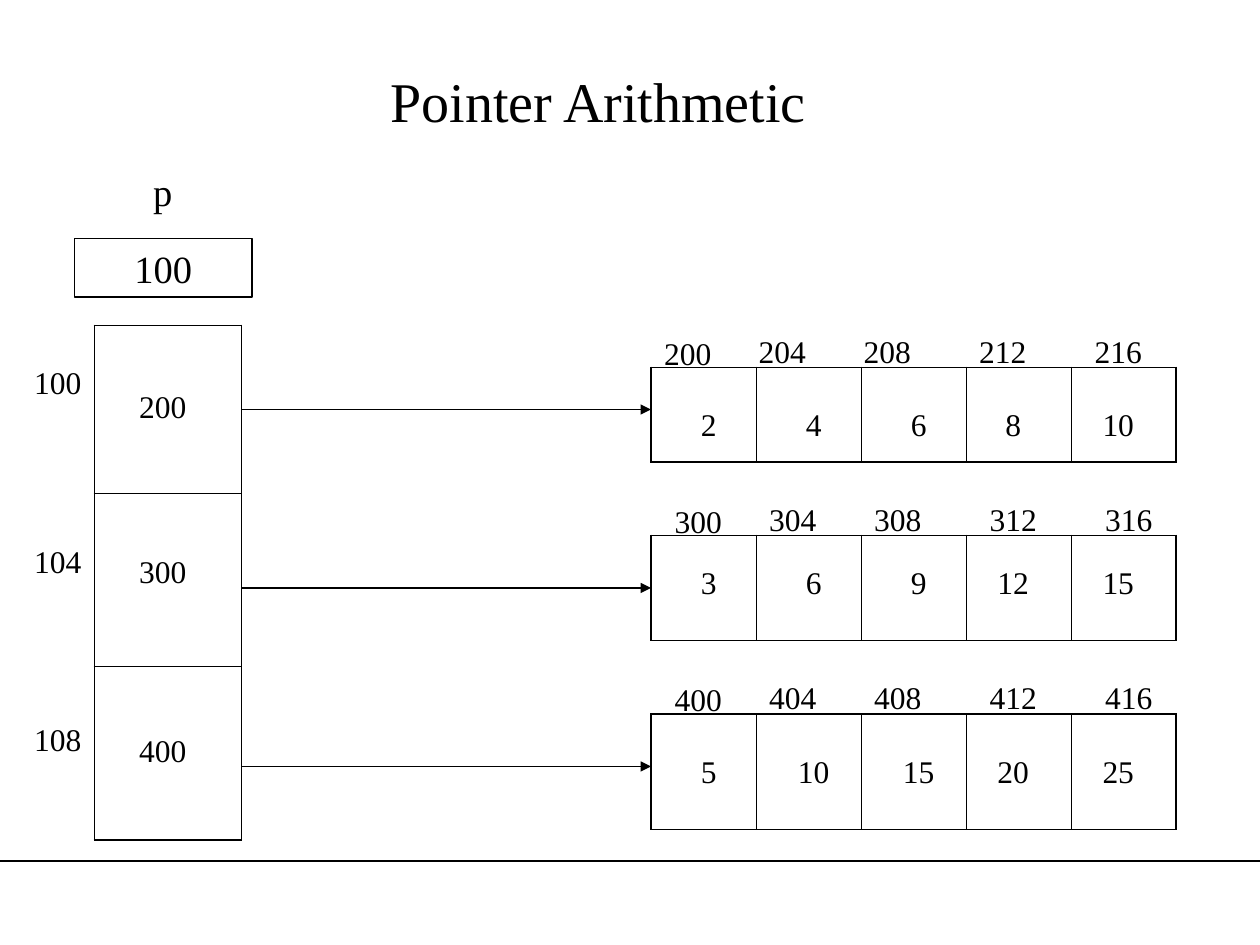
import dataclasses
import typing

import lxml.etree
import pptx
import pptx.dml.color
import pptx.enum.shapes
import pptx.enum.text
import pptx.oxml.ns
import pptx.util


@dataclasses.dataclass(frozen=True)
class Theme:
    ink: str = "000000"
    font: str = "Times New Roman"
    title: float = 32
    large: float = 22
    body: float = 18
    line: float = 0.75
    outer: float = 1.08
    inner: float = 0.45


class Box(typing.NamedTuple):
    """Left, top, width and height in grid units."""
    x: float
    y: float
    w: float
    h: float


@dataclasses.dataclass(frozen=True)
class Array:
    """One int array and the pointer cell that leads to it."""
    slot: str       # address of the pointer cell
    base: int       # address of the first element
    step: int       # each element is a multiple of this
    top: float
    high: float
    slot_y: float
    base_y: float
    value_y: float
    arrow_y: float
    shift: float    # sideways shift of the address labels


THEME = Theme()
UNIT = pptx.util.Inches(10) / 120   # 120 columns by 90 rows
LABEL = (7, 4.8)
STACK = Box(9, 31, 14, 49)
STACK_ROWS = (16, 16.5, 16.5)
LEFT, CELL, COUNT = 62, 10, 5
ADDR_X = (62, 71, 81, 92, 103)
VALUE_X = (64, 74, 84, 93, 103)
ARRAYS = (
    Array("100", 200, 2, 35, 9, 34, 36.25, 38, 39, 0),
    Array("104", 300, 3, 51, 10, 51, 52, 53, 56, 1),
    Array("108", 400, 5, 68, 11, 68, 69, 71, 73, 1),
)


def size(units: float) -> pptx.util.Emu:
    return pptx.util.Emu(round(units * UNIT))


def place(box: Box) -> list:
    return [size(part) for part in box]


def color() -> pptx.dml.color.RGBColor:
    return pptx.dml.color.RGBColor.from_string(THEME.ink)


def write(shape, text: str, points: float, middle: bool = False) -> None:
    frame = shape.text_frame
    frame.text = text
    frame.word_wrap = True
    anchor = pptx.enum.text.MSO_ANCHOR
    frame.vertical_anchor = anchor.MIDDLE if middle else anchor.TOP
    para = frame.paragraphs[0]
    para.alignment = pptx.enum.text.PP_ALIGN.CENTER
    font = para.runs[0].font
    font.name, font.size = THEME.font, pptx.util.Pt(points)
    font.color.rgb = color()


def label(slide, text: str, box: Box, points: float = THEME.body,
          middle: bool = False) -> None:
    write(slide.shapes.add_textbox(*place(box)), text, points, middle)


def border(cell, side: str, points: float) -> None:
    qn = pptx.oxml.ns.qn
    props = cell._tc.get_or_add_tcPr()
    line = lxml.etree.SubElement(props, qn(f"a:ln{side}"),
                                 w=str(pptx.util.Pt(points)))
    fill = lxml.etree.SubElement(line, qn("a:solidFill"))
    lxml.etree.SubElement(fill, qn("a:srgbClr"), val=THEME.ink)


def grid(slide, box: Box, cols: typing.Sequence[float],
         rows: typing.Sequence[float]) -> None:
    """Draw an empty table with a heavy frame and thin inner rules."""
    table = slide.shapes.add_table(len(rows), len(cols), *place(box)).table
    table.first_row = table.horz_banding = False
    for col, wide in zip(table.columns, cols):
        col.width = size(wide)
    for row, high in zip(table.rows, rows):
        row.height = size(high)
    for r in range(len(rows)):
        for c in range(len(cols)):
            cell = table.cell(r, c)
            edges = {"L": c == 0, "R": c == len(cols) - 1,
                     "T": r == 0, "B": r == len(rows) - 1}
            for side, edge in edges.items():
                border(cell, side, THEME.outer if edge else THEME.inner)
            cell.fill.background()


def rule(slide, start: float, end: float, y: float,
         arrow: bool = False) -> None:
    line = slide.shapes.add_connector(
        pptx.enum.shapes.MSO_CONNECTOR.STRAIGHT,
        size(start), size(y), size(end), size(y))
    line.line.color.rgb = color()
    line.line.width = pptx.util.Pt(THEME.line)
    qn = pptx.oxml.ns.qn
    if arrow:
        lxml.etree.SubElement(line.line._get_or_add_ln(), qn("a:tailEnd"),
                              type="triangle")
    lxml.etree.SubElement(line._element.spPr, qn("a:effectLst"))


def draw_array(slide, arr: Array) -> None:
    # Pointer cell, its address and the arrow
    label(slide, arr.slot, Box(2, arr.slot_y, *LABEL))
    label(slide, str(arr.base), Box(12, arr.base_y, *LABEL))
    rule(slide, STACK.x + STACK.w, LEFT, arr.arrow_y, arrow=True)
    # Elements, with the address above each
    grid(slide, Box(LEFT, arr.top, CELL * COUNT, arr.high),
         [CELL] * COUNT, [arr.high])
    for i, (addr_x, value_x) in enumerate(zip(ADDR_X, VALUE_X)):
        drop = 0.2 if i == 0 else 0
        addr_y = arr.top - 4 + drop
        label(slide, str(arr.base + 4 * i),
              Box(addr_x + arr.shift, addr_y, *LABEL))
        label(slide, str(arr.step * (i + 1)),
              Box(value_x, arr.value_y, *LABEL))


def main() -> None:
    deck = pptx.Presentation()
    deck.slide_width, deck.slide_height = size(120), size(90)
    slide = deck.slides.add_slide(deck.slide_layouts[6])

    # Footer rule and title
    rule(slide, 0, 120, 82)
    label(slide, "Pointer Arithmetic", Box(6, 3, 102, 13), THEME.title, True)

    # Pointer p
    label(slide, "p", Box(10, 15.4, 11, 5.6), THEME.large)
    rect = slide.shapes.add_shape(pptx.enum.shapes.MSO_SHAPE.RECTANGLE,
                                  *place(Box(7.1, 22.7, 16.9, 5.6)))
    rect.shadow.inherit = False
    rect.fill.background()
    rect.line.color.rgb = color()
    rect.line.width = pptx.util.Pt(THEME.line)
    write(rect, "100", THEME.large, True)

    # Pointer cells and the arrays they point to
    grid(slide, STACK, [STACK.w], STACK_ROWS)
    for arr in ARRAYS:
        draw_array(slide, arr)
    deck.save("out.pptx")


if __name__ == "__main__":
    main()
